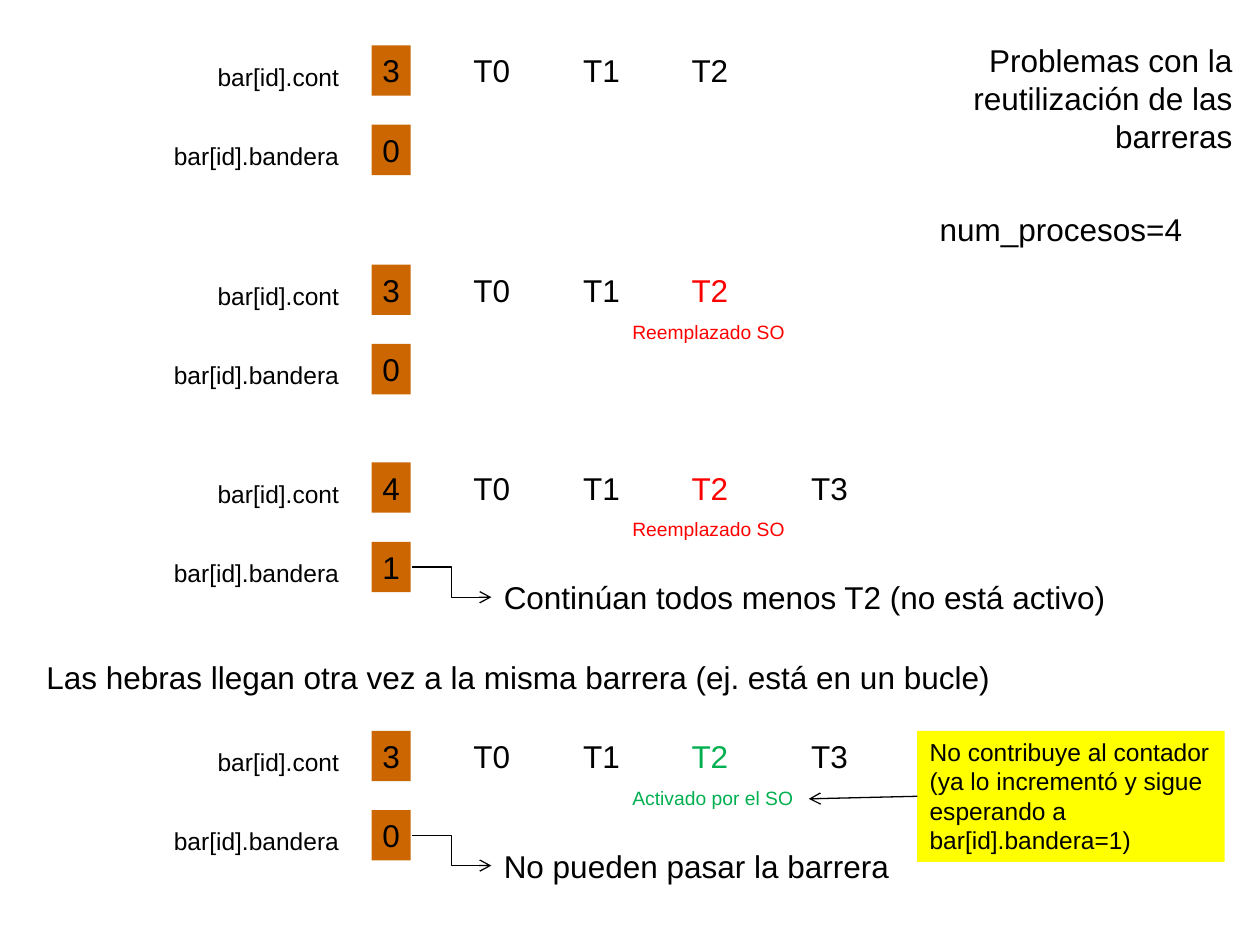
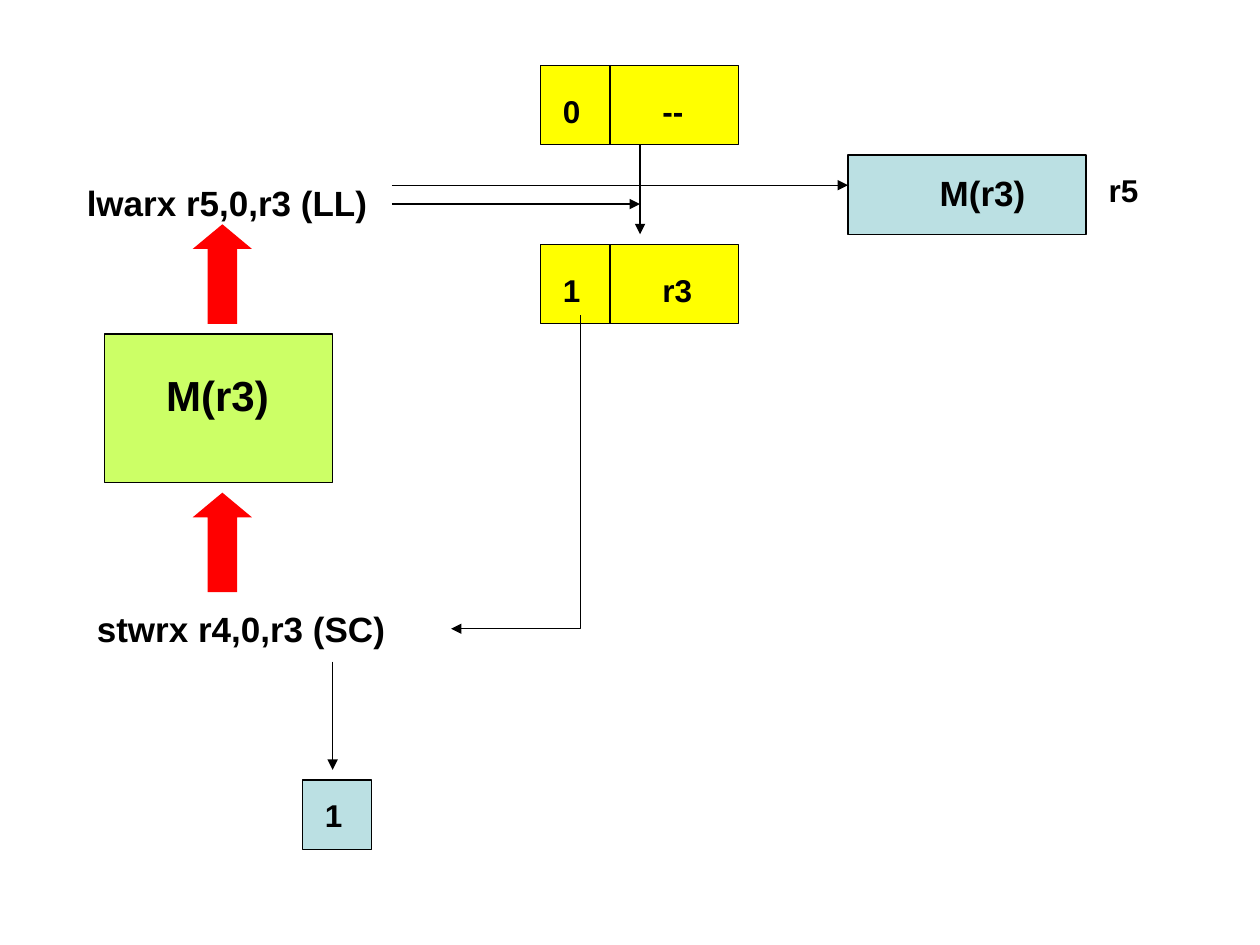
from lxml import etree
from pptx import Presentation
from pptx.dml.color import RGBColor
from pptx.enum.shapes import MSO_CONNECTOR, MSO_SHAPE
from pptx.enum.text import MSO_ANCHOR, PP_ALIGN
from pptx.oxml.ns import qn
from pptx.util import Inches, Pt

RECT, UP = MSO_SHAPE.RECTANGLE, MSO_SHAPE.UP_ARROW
STRAIGHT, ELBOW = MSO_CONNECTOR.STRAIGHT, MSO_CONNECTOR.ELBOW
LEFT, CENTER, RIGHT = PP_ALIGN.LEFT, PP_ALIGN.CENTER, PP_ALIGN.RIGHT
TOP = MSO_ANCHOR.TOP
FONT = "Arial"
COLORS = {
    "ink": "000000", "orange": "CC6600", "yellow": "FFFF00", "red": "FF0000",
    "green": "00B050", "lime": "CCFF66", "blue": "BBE0E3",
}


def color(name):
    return RGBColor.from_string(COLORS[name])


def write(frame, text, size=18, ink="ink", bold=False, align=LEFT, wrap=True):
    frame.word_wrap = wrap
    frame.vertical_anchor = TOP
    par = frame.paragraphs[0]
    par.alignment = align
    run = par.add_run()
    run.text = text
    run.font.name = FONT
    run.font.size = Pt(size)
    run.font.bold = bold
    run.font.color.rgb = color(ink)


def label(slide, box, text, **form):
    area = slide.shapes.add_textbox(*map(Inches, box))
    write(area.text_frame, text, **form)


def block(slide, box, fill, kind=RECT, edge=False):
    shape = slide.shapes.add_shape(kind, *map(Inches, box))
    shape.shadow.inherit = False
    shape.fill.solid()
    shape.fill.fore_color.rgb = color(fill)
    if edge:
        shape.line.color.rgb = color("ink")
        shape.line.width = Pt(0.75)
    else:
        shape.line.fill.background()
    return shape


def arrow(slide, start, end, kind=STRAIGHT, head="triangle"):
    link = slide.shapes.add_connector(kind, *map(Inches, start + end))
    link.line.color.rgb = color("ink")
    link.line.width = Pt(0.75)
    props = link._element.spPr
    tip = etree.SubElement(props.find(qn("a:ln")), qn("a:tailEnd"))
    tip.set("type", head)
    etree.SubElement(props, qn("a:effectLst"))
    return link


def corner(slide, start, end):
    """Go down from start, then left to end: a quarter-turned elbow."""
    (x1, y1), (x2, y2) = start, end
    midx, midy = (x1 + x2) / 2, (y1 + y2) / 2
    halfw, halfh = (y2 - y1) / 2, (x1 - x2) / 2
    link = arrow(slide, (midx - halfw, midy - halfh),
                 (midx + halfw, midy + halfh), ELBOW)
    props = link._element.spPr
    props.find(qn("a:xfrm")).set("rot", str(90 * 60000))
    props.find(qn("a:prstGeom")).set("prst", "bentConnector2")


# Slide 1: states of the barrier

def state(slide, left, top, count, flag, threads=3, ink="ink", note=None,
          result=None):
    # Counter and flag
    fields = (("bar[id].cont", count), ("bar[id].bandera", flag))
    for row, (name, value) in enumerate(fields):
        y = top + 0.63 * row
        label(slide, (left, y + 0.08, 1.7, 0.34), name, size=14, align=RIGHT)
        cell = block(slide, (left + 1.86, y, 0.31, 0.4), "orange")
        write(cell.text_frame, value, align=CENTER, wrap=False)
    # Threads that have arrived
    for num, gap in enumerate((2.57, 3.44, 4.3, 5.25)[:threads]):
        label(slide, (left + gap, top, 0.6, 0.4), f"T{num}",
              ink=ink if num == 2 else "ink")
    if note:
        label(slide, (left + 3.83, top + 0.39, 1.52, 0.29), note,
              size=11, ink=ink)
    # Outcome
    if result:
        arrow(slide, (left + 2.18, top + 0.83), (left + 2.81, top + 1.07),
              ELBOW, "arrow")
        label(slide, (left + 2.81, top + 0.87, 5.2, 0.4), result)


def remark(slide, left, top):
    box = block(slide, (left, top, 2.44, 1.04), "yellow")
    write(box.text_frame, "No contribuye al contador (ya lo incrementó y sigue "
          "esperando a bar[id].bandera=1)", size=14)
    arrow(slide, (left, top + 0.52), (left - 0.86, top + 0.54), head="arrow")


def barrier(slide):
    left = 1.09
    state(slide, left, 0.36, "3", "0")
    state(slide, left, 2.1, "3", "0", ink="red", note="Reemplazado SO")
    state(slide, left, 3.67, "4", "1", 4, "red", "Reemplazado SO",
          "Continúan todos menos T2 (no está activo)")
    label(slide, (0.27, 5.17, 8.27, 0.4),
          "Las hebras llegan otra vez a la misma barrera (ej. está en un bucle)")
    state(slide, left, 5.8, "3", "0", 4, "green", "Activado por el SO",
          "No pueden pasar la barrera")
    remark(slide, 7.28, 5.8)
    label(slide, (7.36, 1.62, 2.44, 0.4), "num_procesos=4")
    label(slide, (6.73, 0.28, 3.15, 1),
          "Problemas con la reutilización de las barreras", align=RIGHT)


# Slide 2: linked load and conditional store

def pair(slide, left, top, flag, value):
    for x, width, inset, text in ((0, 0.55, 0.08, flag),
                                  (0.55, 1.02, 0.32, value)):
        block(slide, (left + x, top, width, 0.63), "yellow", edge=True)
        label(slide, (left + x + inset, top + 0.16, 0.47, 0.4), text, bold=True)


def memory(slide, left, top):
    block(slide, (left, top, 1.81, 1.18), "lime", edge=True)
    label(slide, (left + 0.39, top + 0.23, 1.1, 0.5), "M(r3)",
          size=24, bold=True)
    for gap in (-0.87, 1.26):
        shape = block(slide, (left + 0.7, top + gap, 0.47, 0.79), "red", UP)
        shape.adjustments[1] = 0.417


def target(slide, left, top):
    block(slide, (left, top, 1.89, 0.63), "blue", edge=True)
    label(slide, (left + 0.63, top + 0.08, 1.02, 0.44), "M(r3)",
          size=20, bold=True)
    label(slide, (left + 1.97, top + 0.08, 0.71, 0.4), "r5", bold=True)


def success(slide, left, top):
    block(slide, (left, top, 0.55, 0.55), "blue", edge=True)
    label(slide, (left + 0.08, top + 0.08, 0.39, 0.4), "1", bold=True)


def atomic(slide):
    # Reservation before and after the load
    pair(slide, 4.29, 0.52, "0", "--")
    pair(slide, 4.29, 1.94, "1", "r3")
    # Instructions and memory
    label(slide, (0.59, 1.39, 2.91, 0.44), "lwarx r5,0,r3 (LL)",
          size=20, bold=True)
    label(slide, (0.67, 4.77, 2.91, 0.44), "stwrx r4,0,r3 (SC)",
          size=20, bold=True)
    memory(slide, 0.83, 2.65)
    # Results
    target(slide, 6.73, 1.23)
    success(slide, 2.4, 6.19)
    # Flow
    arrow(slide, (5.08, 1.15), (5.08, 1.86))
    arrow(slide, (3.11, 1.62), (5.08, 1.62))
    arrow(slide, (3.11, 1.47), (6.73, 1.47))
    arrow(slide, (2.64, 5.25), (2.64, 6.11))
    corner(slide, (4.61, 2.5), (3.58, 4.99))


def main():
    deck = Presentation()
    deck.slide_width, deck.slide_height = Inches(10), Inches(7.5)
    for draw in (barrier, atomic):
        draw(deck.slides.add_slide(deck.slide_layouts[6]))
    deck.save("out.pptx")


if __name__ == "__main__":
    main()
